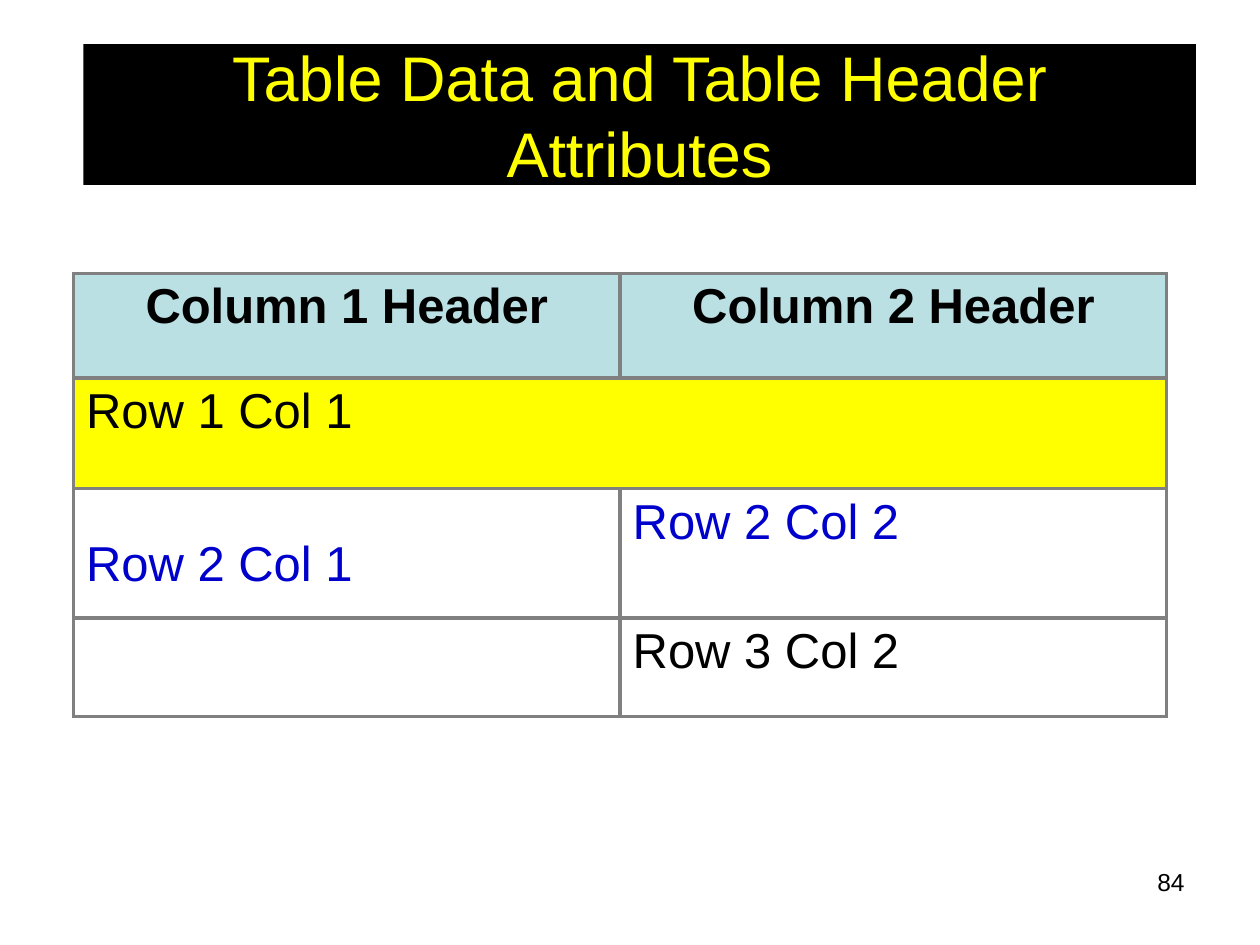
from lxml import etree
from pptx import Presentation
from pptx.dml.color import RGBColor
from pptx.enum.shapes import MSO_SHAPE
from pptx.enum.text import MSO_ANCHOR, PP_ALIGN
from pptx.oxml.ns import qn
from pptx.util import Cm, Pt

BLACK = RGBColor(0x00, 0x00, 0x00)
YELLOW = RGBColor(0xFF, 0xFF, 0x00)
PALE_BLUE = RGBColor(0xBB, 0xE0, 0xE3)
BLUE = RGBColor(0x00, 0x00, 0xCC)
GREY = RGBColor(0x80, 0x80, 0x80)

LEFT, CENTER, RIGHT = PP_ALIGN.LEFT, PP_ALIGN.CENTER, PP_ALIGN.RIGHT
MIDDLE = MSO_ANCHOR.MIDDLE
RECTANGLE = MSO_SHAPE.RECTANGLE

COLUMN_WIDTH = Cm(11.02)
ROW_HEIGHTS = [Cm(2.11), Cm(2.23), Cm(2.61), Cm(1.98)]

# Each cell: text, text colour, fill
ROWS = [
    [("Column 1 Header", BLACK, PALE_BLUE), ("Column 2 Header", BLACK, PALE_BLUE)],
    [("Row 1 Col 1", BLACK, YELLOW), ("", BLACK, YELLOW)],
    [("Row 2 Col 1", BLUE, None), ("Row 2 Col 2", BLUE, None)],
    [("", BLACK, None), ("Row 3 Col 2", BLACK, None)],
]


def write(frame, text, size, color, align=LEFT, bold=False):
    frame.word_wrap = True
    paragraph = frame.paragraphs[0]
    paragraph.text = text
    paragraph.alignment = align
    font = paragraph.font
    font.name, font.size, font.bold = "Arial", Pt(size), bold
    font.color.rgb = color


def add_title(slide, text):
    banner = slide.shapes.add_shape(RECTANGLE, Cm(1.68), Cm(0.89), Cm(22.43), Cm(2.84))
    banner.shadow.inherit = False
    banner.fill.solid()
    banner.fill.fore_color.rgb = BLACK
    banner.line.fill.background()
    banner.text_frame.vertical_anchor = MIDDLE
    write(banner.text_frame, text, 36, YELLOW, CENTER)


def set_borders(cell, hidden=()):
    properties = cell._tc.get_or_add_tcPr()
    for side in "LRTB":
        line = etree.SubElement(properties, qn(f"a:ln{side}"), w=str(Pt(2.25)))
        if side in hidden:
            etree.SubElement(line, qn("a:noFill"))
        else:
            fill = etree.SubElement(line, qn("a:solidFill"))
            etree.SubElement(fill, qn("a:srgbClr"), val=str(GREY))


def fill_cell(cell, text, color, fill, header, hidden):
    set_borders(cell, hidden)
    if fill is None:
        cell.fill.background()
    else:
        cell.fill.solid()
        cell.fill.fore_color.rgb = fill
    write(cell.text_frame, text, 28, color, CENTER if header else LEFT, header)


def add_attribute_table(slide):
    table = slide.shapes.add_table(
        len(ROWS), 2, Cm(1.48), Cm(5.51), 2 * COLUMN_WIDTH, sum(ROW_HEIGHTS)
    ).table
    for column in table.columns:
        column.width = COLUMN_WIDTH
    for r, (height, row) in enumerate(zip(ROW_HEIGHTS, ROWS)):
        table.rows[r].height = height
        for c, (text, color, fill) in enumerate(row):
            # The yellow row has no line between its two cells
            hidden = "RL"[c] if fill == YELLOW else ""
            fill_cell(table.cell(r, c), text, color, fill, r == 0, hidden)
    # Row 2 Col 1 sits lower than its neighbour
    table.cell(2, 0).margin_top = Cm(0.97)


def add_page_number(slide, number):
    box = slide.shapes.add_textbox(Cm(18.21), Cm(17.35), Cm(5.92), Cm(1.32))
    write(box.text_frame, number, 14, BLACK, RIGHT)


def main():
    presentation = Presentation()
    presentation.slide_width, presentation.slide_height = Cm(25.4), Cm(19.05)
    slide = presentation.slides.add_slide(presentation.slide_layouts[6])
    add_page_number(slide, "84")
    add_title(slide, "Table Data and Table Header Attributes")
    add_attribute_table(slide)
    presentation.save("out.pptx")


if __name__ == "__main__":
    main()
